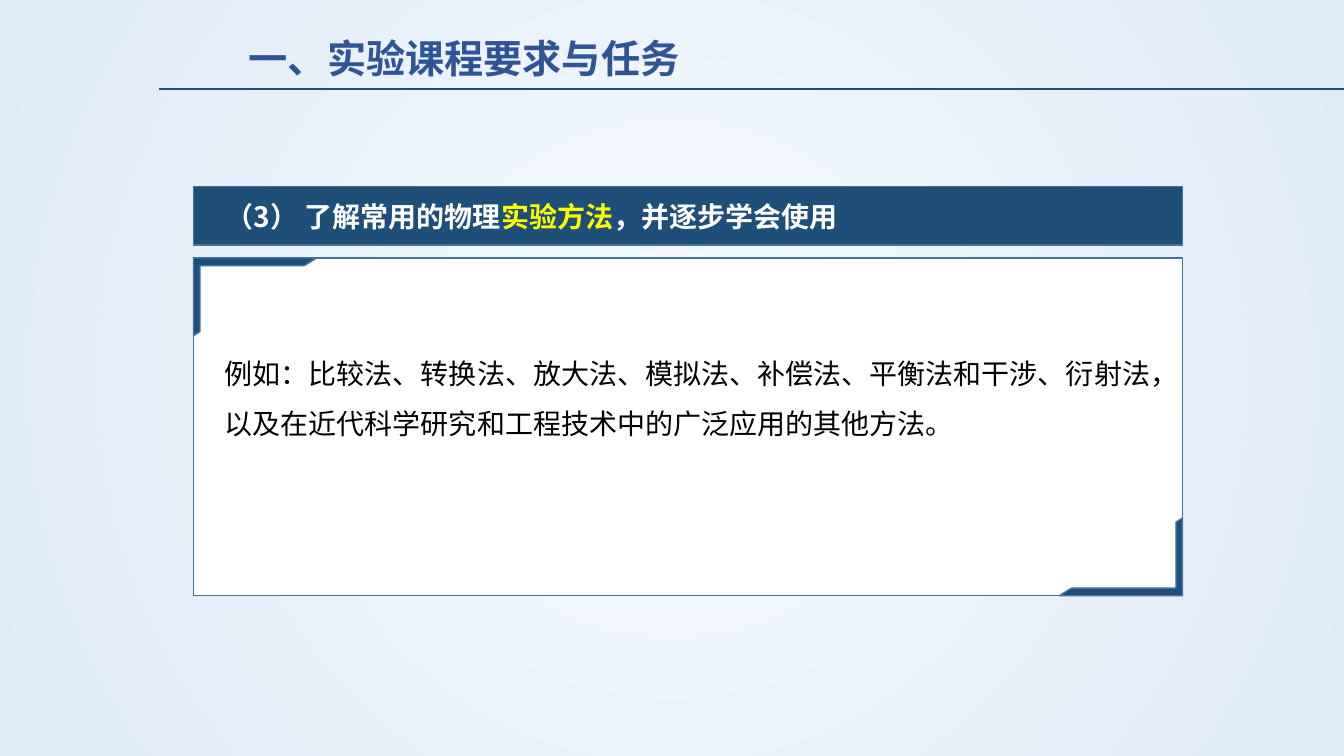
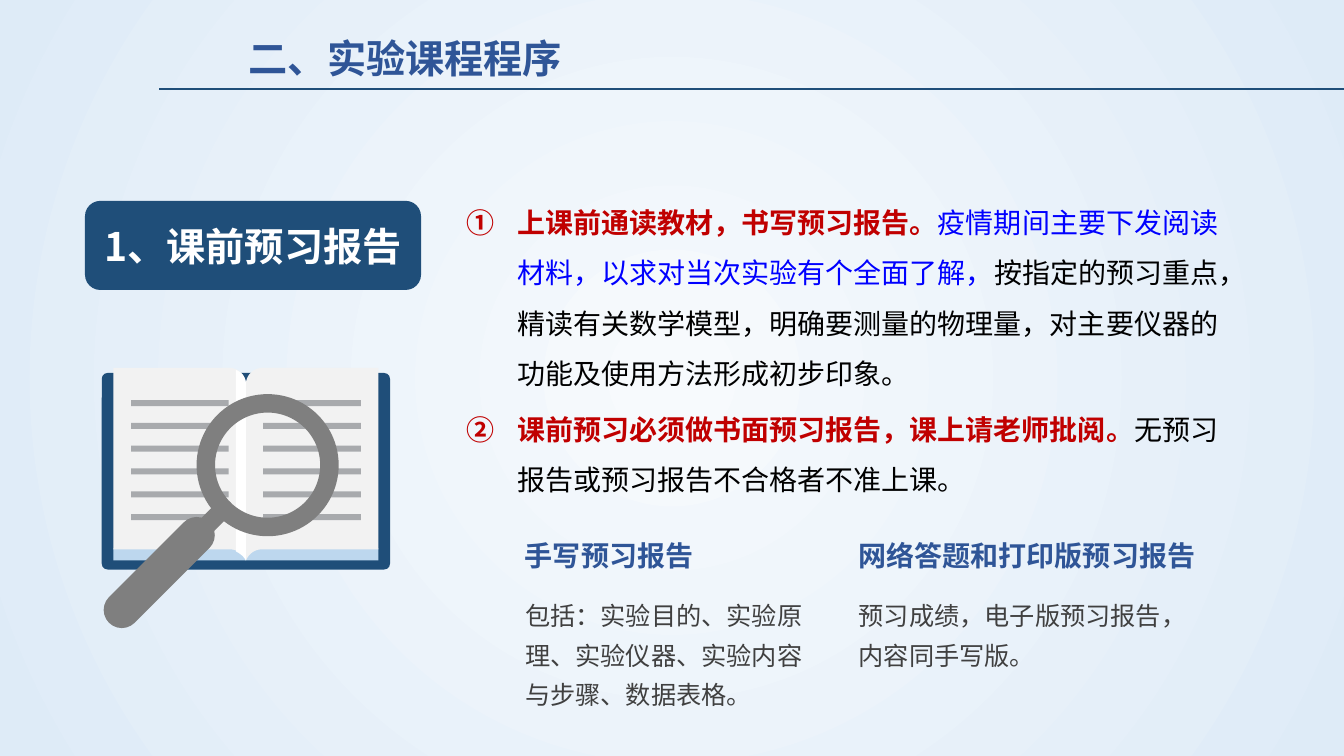
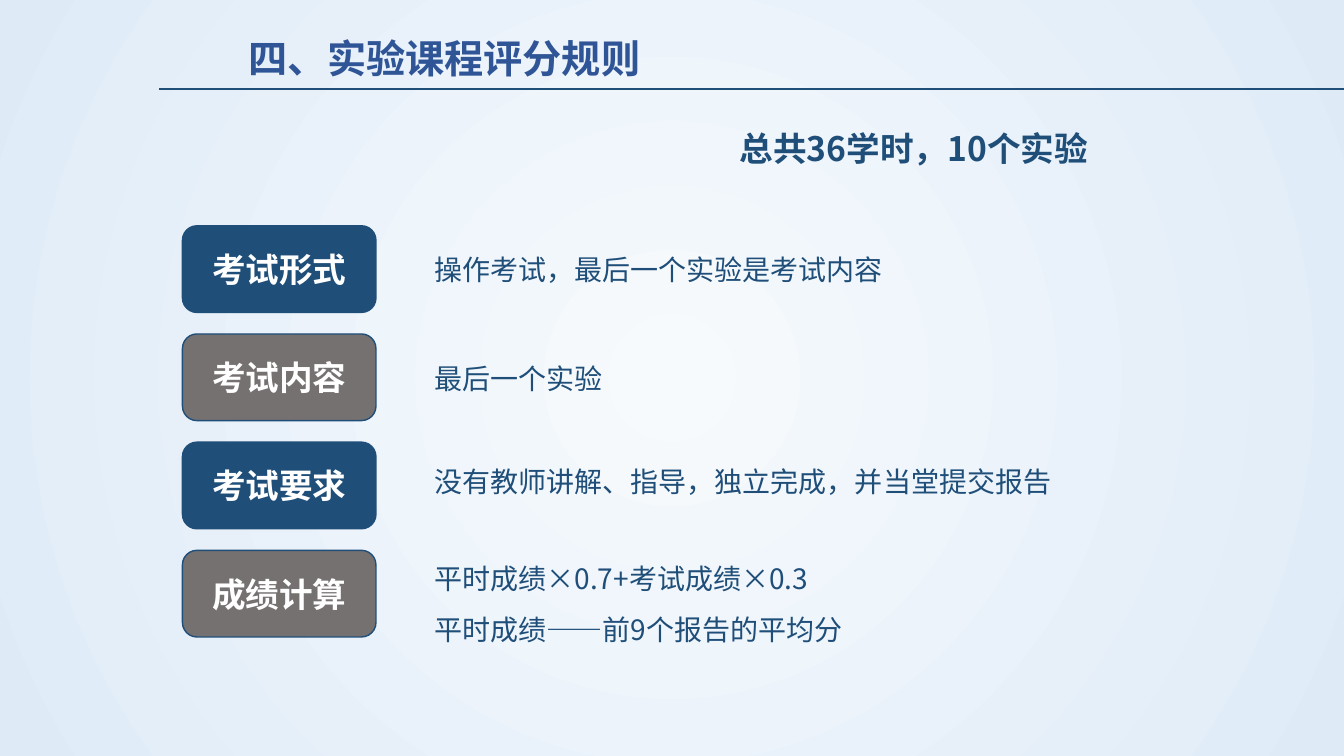
from pptx import Presentation
from pptx.dml.color import RGBColor
from pptx.enum.shapes import MSO_CONNECTOR, MSO_SHAPE
from pptx.enum.text import MSO_ANCHOR, MSO_AUTO_SIZE, PP_ALIGN
from pptx.oxml import parse_xml
from pptx.oxml.ns import nsdecls, qn
from pptx.oxml.xmlchemy import OxmlElement
from pptx.util import Inches, Pt

FONT = "Noto Sans CJK SC"
CELL = Inches(0.1)
COLS, ROWS = 133.33, 75
NAVY, EDGE, TITLE, GRAY = "1F4E79", "43739E", "2F5597", "767171"
WHITE, BLACK, RED, BLUE, YELLOW = "FFFFFF", "000000", "C00000", "0000FF", "FFFF00"
BODY, PAPER, RULE, PAGE_EDGE, LENS = "404040", "F2F2F2", "A8AAAD", "BDD7EE", "7F7F7F"


def rgb(color):
    """Turn a hex string into a colour."""
    return RGBColor.from_string(color)


def cells(*values):
    """Turn grid cells into EMU."""
    return [round(v * CELL) for v in values]


def paint(sp, fill, line=None):
    """Set fill and outline and drop the shadow."""
    sp.shadow.inherit = False
    sp.fill.solid()
    sp.fill.fore_color.rgb = rgb(fill)
    if line:
        sp.line.color.rgb = rgb(line)
        sp.line.width = Pt(1)
    else:
        sp.line.fill.background()
    return sp


def shape(s, kind, box, fill, line=None, adj=(), turn=0):
    """Add a preset shape in a box of grid cells."""
    sp = s.shapes.add_shape(kind, *cells(*box))
    for i, value in enumerate(adj):
        sp.adjustments[i] = value
    sp.rotation = turn
    return paint(sp, fill, line)


def write(tf, text, size=20, color=BLACK, bold=False, align=None, spacing=None,
          before=None, numbered=False):
    """Fill a frame with paragraphs, each a string or a list of (text, colour, bold) runs."""
    tf.word_wrap = True
    for i, runs in enumerate(text if isinstance(text, list) else [text]):
        p = tf.add_paragraph() if i else tf.paragraphs[0]
        p.alignment, p.line_spacing, p.space_before = align, spacing, before
        if numbered:
            pPr = p._p.get_or_add_pPr()
            pPr.set("marL", str(Inches(0.5)))
            pPr.set("indent", str(-Inches(0.5)))
            num = OxmlElement("a:buAutoNum")
            num.set("type", "circleNumDbPlain")
            pPr.append(num)
        for words, tint, heavy in [(runs, color, bold)] if isinstance(runs, str) else runs:
            r = p.add_run()
            r.text = words
            r.font.size, r.font.bold, r.font.name = Pt(size), heavy, FONT
            r.font.color.rgb = rgb(tint)
            ea = OxmlElement("a:ea")
            ea.set("typeface", FONT)
            r.font._element.append(ea)


def textbox(s, box, text, inset=True, **fmt):
    """Add a text box that grows with its text."""
    tf = s.shapes.add_textbox(*cells(*box)).text_frame
    if not inset:
        tf.margin_left = tf.margin_right = tf.margin_top = tf.margin_bottom = 0
    write(tf, text, **fmt)
    tf.auto_size = MSO_AUTO_SIZE.SHAPE_TO_FIT_TEXT


def label(s, box, text, fill, size):
    """Add a rounded label with centred white text."""
    tf = shape(s, MSO_SHAPE.ROUNDED_RECTANGLE, box, fill, NAVY).text_frame
    tf.vertical_anchor = MSO_ANCHOR.MIDDLE
    write(tf, text, size=size, color=WHITE, bold=True, align=PP_ALIGN.CENTER)


def background(master):
    """Give every slide the round pale blue gradient."""
    fill = master.background.fill
    fill.gradient()
    for stop, color in zip(fill.gradient_stops, ("F7FAFD", "DEEBF7")):
        stop.color.rgb = rgb(color)
    grad = master.element.find(".//" + qn("a:gradFill"))
    grad.replace(grad.find(qn("a:lin")), parse_xml(
        f'<a:path {nsdecls("a")} path="circle">'
        '<a:fillToRect l="50000" t="50000" r="50000" b="50000"/></a:path>'))


def titled_slide(prs, title):
    """Add a slide with its title and the line beneath."""
    s = prs.slides.add_slide(prs.slide_layouts[6])
    ln = s.shapes.add_connector(MSO_CONNECTOR.STRAIGHT, *cells(15.8, 8.8, COLS, 8.8))
    ln.line.color.rgb = rgb(NAVY)
    ln.line.width = Pt(1.25)
    ln._element.spPr.append(OxmlElement("a:effectLst"))
    textbox(s, (23.7, 2.9, 50.3, 5.7), title, size=28, color=TITLE, bold=True)
    return s


def framed_panel(s, box, heading, text):
    """Draw a heading band over a white panel with two corner brackets."""
    x, y, w, h = box
    band, top, cw, ch = 5.8, 7.1, 12.2, 7.7
    shape(s, MSO_SHAPE.RECTANGLE, (x, y + top, w, h - top), WHITE, EDGE)
    for cx, cy, turn in ((x, y + top, 0), (x + w - cw, y + h - ch, 180)):
        shape(s, MSO_SHAPE.HALF_FRAME, (cx, cy, cw, ch), NAVY, EDGE, (0.098, 0.083), turn)
    textbox(s, (x + 2.1, y + 14.7, w - 4, 15.6), text, spacing=1.5)
    shape(s, MSO_SHAPE.RECTANGLE, (x, y, w, band), NAVY, EDGE)
    textbox(s, (x + 2.2, y + 0.8, w - 5, 4.4), [heading])


def curve(a, b, c, d, steps=10):
    """List points along a cubic curve."""
    ts = [i / steps for i in range(steps + 1)]
    return [tuple((1 - t) ** 3 * a[k] + 3 * (1 - t) ** 2 * t * b[k]
                  + 3 * (1 - t) * t * t * c[k] + t ** 3 * d[k] for k in (0, 1)) for t in ts]


def outline(s, points, fill):
    """Add a closed freeform through points in grid cells."""
    first, *rest = [tuple(cells(*point)) for point in points]
    fb = s.shapes.build_freeform(*first)
    fb.add_line_segments(rest)
    paint(fb.convert_to_shape(), fill)


def open_book(s, box):
    """Draw an open book with ruled pages."""
    x, y, w, h = box
    spine, half = x + w / 2, 13.15
    shape(s, MSO_SHAPE.ROUNDED_RECTANGLE, (x, y + 0.5, w, h - 0.5), NAVY, adj=(0.03,))
    shape(s, MSO_SHAPE.RECTANGLE, (spine - half, y + 17.9, 2 * half, 1.2), PAGE_EDGE)
    page = (curve((0, 1.6), (0, 0.7), (0.8, 0), (1.6, 0)) + [(half, 0), (half, 18)]
            + curve((1.6, 18), (0.9, 18), (0.3, 18.4), (0, 19.1)))
    fold = (curve((0, 1.6), (0, 1), (-0.4, 0.4), (-1, 0.2))
            + curve((-1, 18.2), (-0.6, 18.4), (-0.2, 18.7), (0, 19.1)))
    for points, side, fill in ((page, 1, PAPER), (page, -1, PAPER), (fold, 1, WHITE)):
        outline(s, [(spine + side * px, y + py) for px, py in points], fill)
    for left in (x + 16, x + 2.9):
        for i in range(6):
            shape(s, MSO_SHAPE.RECTANGLE, (left, y + 3.2 + 2.26 * i, 9.7, 0.6), RULE)


def magnifier(s, box):
    """Draw a magnifying glass with its handle to the lower left."""
    x, y, w, h = box
    for cx, cy, length, thick in ((7.05, 16.4, 16.1, 1.8), (5.7, 17.7, 14.1, 3.6)):
        shape(s, MSO_SHAPE.ROUNDED_RECTANGLE,
              (x + cx - length / 2, y + cy - thick / 2, length, thick), LENS, adj=(0.5,), turn=-45)
    ring = 14.1
    shape(s, MSO_SHAPE.DONUT, (x + w - ring, y, ring, ring), LENS, adj=(0.13,))


def report_kind(s, box, heading, text):
    """Place a heading above a short description."""
    x, y, w, h = box
    textbox(s, (x, y, 35.7, 4.4), heading, color=TITLE, bold=True)
    textbox(s, (x, y + 5.3, w, h - 5.3), text, size=18, color=BODY, spacing=1.3)


def rule_rows(s, box, rows):
    """Stack labels in turning colours with a text beside each."""
    x, y, w, h = box
    pitch = (h - 8.6) / (len(rows) - 1)
    for i, (name, text, drop, spacing) in enumerate(rows):
        top = y + i * pitch
        label(s, (x, top, 19.2, 8.6), name, (NAVY, GRAY)[i % 2], 24)
        textbox(s, (x + 24, top + drop, w - 24, 4.4), text, color=NAVY, spacing=spacing)


def methods_slide(prs):
    """Build the slide on experimental methods."""
    s = titled_slide(prs, "一、实验课程要求与任务")
    framed_panel(s, (19.2, 18.5, 98.1, 40.6),
                 [("（3） 了解常用的物理", WHITE, True), ("实验方法", YELLOW, True),
                  ("，并逐步学会使用", WHITE, True)],
                 "例如：比较法、转换法、放大法、模拟法、补偿法、平衡法和干涉、衍射法，"
                 "以及在近代科学研究和工程技术中的广泛应用的其他方法。")


def preview_slide(prs):
    """Build the slide on the preview report."""
    s = titled_slide(prs, "二、实验课程程序")
    open_book(s, (10.1, 36.5, 28.6, 20))
    magnifier(s, (10.1, 39.1, 23.5, 23.2))
    textbox(s, (46.3, 18.7, 75.7, 30.4), [
        [("上课前通读教材，书写预习报告。", RED, True),
         ("疫情期间主要下发阅读材料，以求对当次实验有个全面了解，", BLUE, False),
         ("按指定的预习重点，精读有关数学模型，明确要测量的物理量，"
          "对主要仪器的功能及使用方法形成初步印象。", BLACK, False)],
        [("课前预习必须做书面预习报告，课上请老师批阅。", RED, True),
         ("无预习报告或预习报告不合格者不准上课。", BLACK, False)],
    ], inset=False, spacing=1.5, before=Pt(4), numbered=True)
    report_kind(s, (51.1, 52.9, 31.5, 17.7), "手写预习报告",
                "包括：实验目的、实验原理、实验仪器、实验内容与步骤、数据表格。")
    report_kind(s, (84.2, 52.9, 35.7, 13.8), "网络答题和打印版预习报告",
                "预习成绩，电子版预习报告，内容同手写版。")
    label(s, (8.5, 20, 33.2, 8.7), "1、课前预习报告", NAVY, 28)


def grading_slide(prs):
    """Build the slide on grading rules."""
    s = titled_slide(prs, "四、实验课程评分规则")
    textbox(s, (72.4, 12.2, 36.9, 5), "总共36学时，10个实验", size=24, color=NAVY, bold=True)
    rule_rows(s, (18.1, 22.4, 100.1, 40.8), [
        ("考试形式", "操作考试，最后一个实验是考试内容", 2.2, None),
        ("考试内容", "最后一个实验", 2.2, None),
        ("考试要求", "没有教师讲解、指导，独立完成，并当堂提交报告", 1.7, None),
        ("成绩计算", ["平时成绩×0.7+考试成绩×0.3", "平时成绩——前9个报告的平均分"], -1, 1.5),
    ])


def main():
    """Build and save the slides."""
    prs = Presentation()
    prs.slide_width, prs.slide_height = cells(COLS, ROWS)
    background(prs.slide_master)
    methods_slide(prs)
    preview_slide(prs)
    grading_slide(prs)
    prs.save("out.pptx")


if __name__ == "__main__":
    main()
